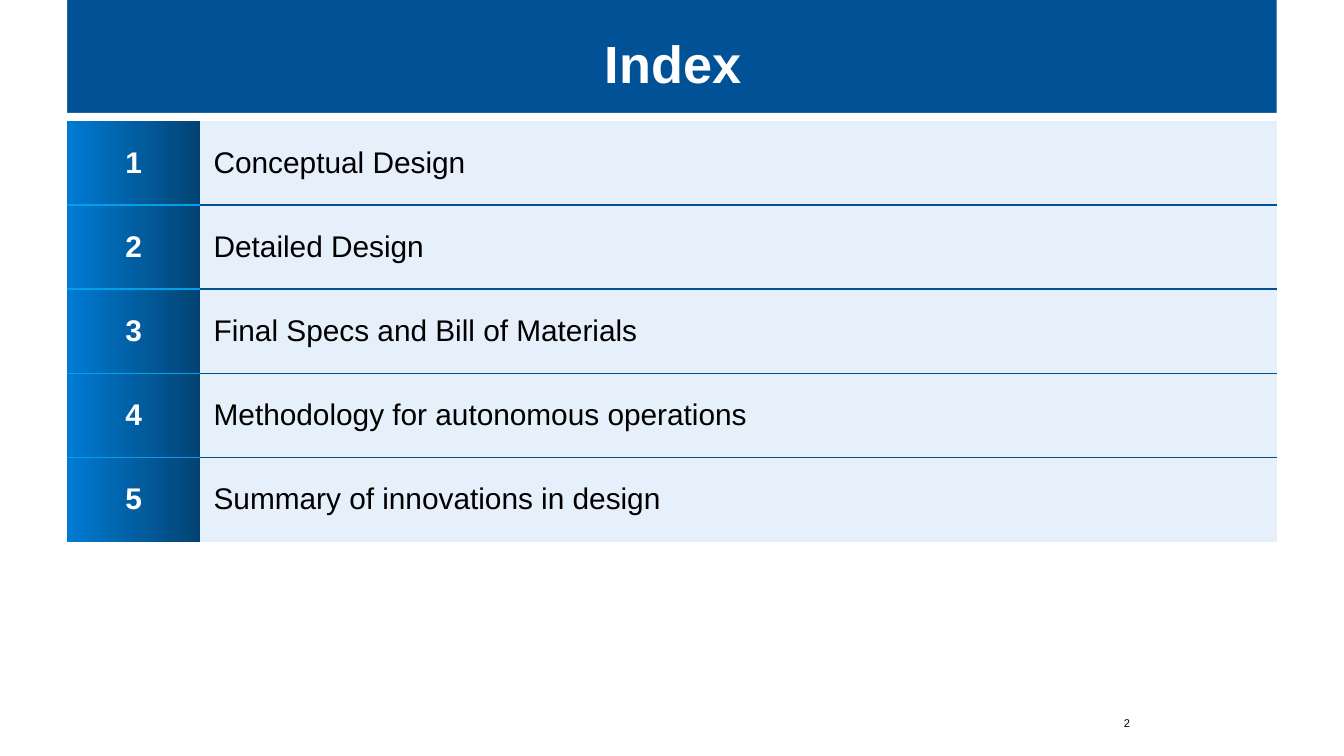
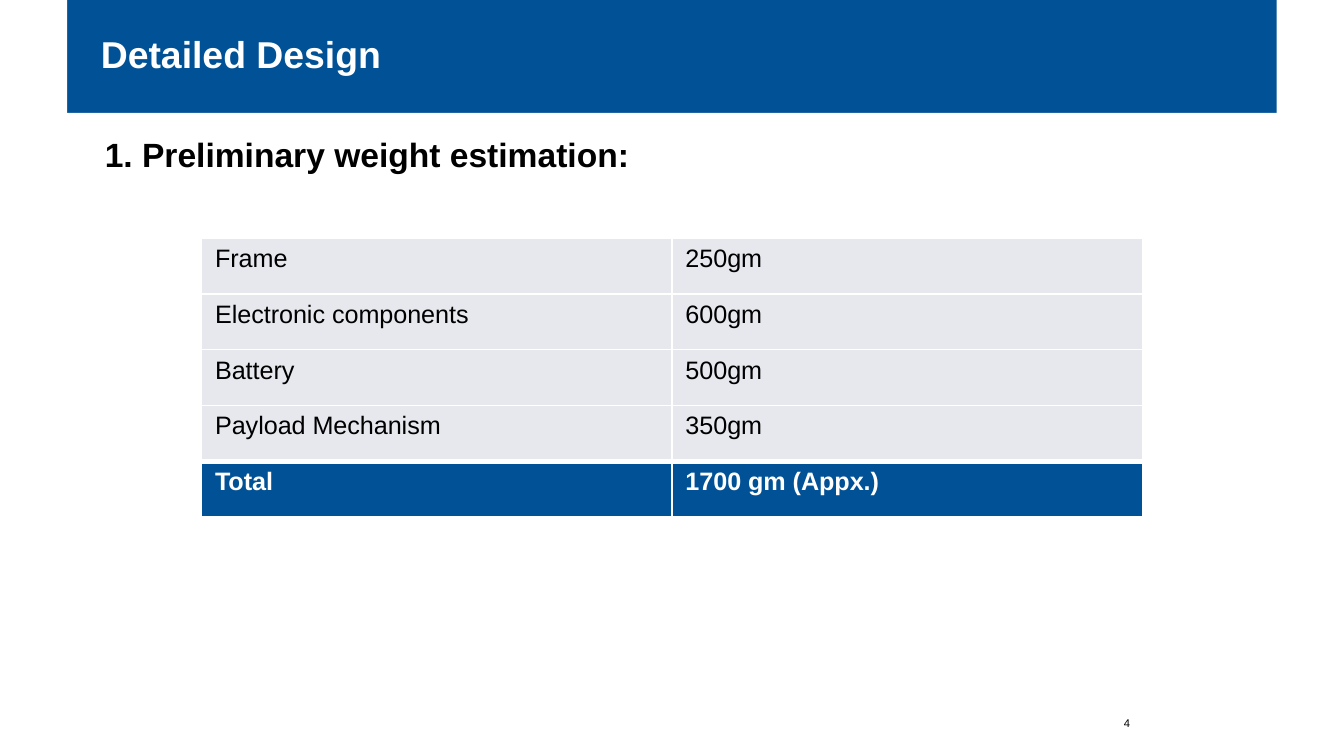
from dataclasses import dataclass

from lxml import etree
from pptx import Presentation
from pptx import util as u
from pptx.dml.color import RGBColor
from pptx.enum import shapes, text
from pptx.oxml.ns import qn

COLORS = {
    "band": "005195", "white": "FFFFFF", "black": "000000", "pale": "E6F0FB",
    "gray": "E6E8EE", "line": "01A0E9", "bright": "007BD3", "deep": "034373",
}
FONT = "Arial"
CELL = u.Inches(0.1)
COLUMNS, ROWS = 100, 56.25
PLAIN_TABLE = "{2D5ABB26-0587-4C30-8999-92F81FD0307C}"
TOPICS = ["Conceptual Design", "Detailed Design", "Final Specs and Bill of Materials",
          "Methodology for autonomous operations", "Summary of innovations in design"]
WEIGHTS = [("Frame", "250gm"), ("Electronic components", "600gm"), ("Battery", "500gm"),
           ("Payload Mechanism", "350gm"), ("Total", "1700 gm (Appx.)")]


@dataclass
class Box:
    """A region measured in grid columns and rows."""
    left: float
    top: float
    width: float
    height: float

    def region(self, left, top, width, height):
        """Return a region placed relative to this one."""
        return Box(self.left + left, self.top + top, width, height)

    def lengths(self):
        """Return left, top, width and height as slide lengths."""
        return [round(value * CELL) for value in (self.left, self.top, self.width, self.height)]


PAGE = Box(0, 0, COLUMNS, ROWS)
CONTENT = PAGE.region(5, 0, 90, ROWS)


def color(name):
    """Return a named colour."""
    return RGBColor.from_string(COLORS[name])


def write(frame, words, size, ink, bold=False, align=text.PP_ALIGN.LEFT):
    """Put one formatted paragraph in a text frame."""
    frame.text = words
    paragraph = frame.paragraphs[0]
    paragraph.alignment = align
    font = paragraph.runs[0].font
    font.name, font.size, font.bold = FONT, u.Pt(size), bold
    font.color.rgb = color(ink)
    return paragraph


def trim(frame, anchor=text.MSO_ANCHOR.TOP):
    """Remove the margins of a text frame and fix its anchor."""
    frame.margin_left = frame.margin_right = frame.margin_top = frame.margin_bottom = 0
    frame.word_wrap = True
    frame.auto_size = text.MSO_AUTO_SIZE.NONE
    frame.vertical_anchor = anchor


def indent(paragraph, columns):
    """Indent a whole paragraph from the left."""
    properties = paragraph._p.get_or_add_pPr()
    properties.set("marL", str(round(columns * CELL)))
    properties.set("indent", "0")


def add_text(slide, box, words, size, anchor=text.MSO_ANCHOR.TOP, **style):
    """Add a text box without margins."""
    frame = slide.shapes.add_textbox(*box.lengths()).text_frame
    trim(frame, anchor)
    return write(frame, words, size, "black", **style)


def build_layout(layout, slide, box):
    """Give the layout a blue band bounded by white panels."""
    layout.background.fill.solid()
    layout.background.fill.fore_color.rgb = color("band")
    right, bottom = box.width, box.height
    builder = slide.shapes.build_freeform(0, round(bottom * CELL))
    corners = [(right, bottom), (right, 3.4), (right - 3, 8.4), (0, 8.4)]
    builder.add_line_segments([(round(x * CELL), round(y * CELL)) for x, y in corners])
    panels = [builder.convert_to_shape()]
    for left in (0, right - 5):
        side = box.region(left, 0, 5, bottom)
        panels.append(slide.shapes.add_shape(shapes.MSO_SHAPE.RECTANGLE, *side.lengths()))
    for number, panel in enumerate(panels, 20):
        panel.shadow.inherit = False
        panel.fill.solid()
        panel.fill.fore_color.rgb = color("white")
        panel.line.fill.background()
        panel._element.nvSpPr.cNvPr.set("id", str(number))
        layout.shapes._spTree.append(panel._element)


def add_title(slide, box, words, size):
    """Move and format the title placeholder."""
    title = slide.shapes.title
    title.left, title.top, title.width, title.height = box.lengths()
    trim(title.text_frame)
    return write(title.text_frame, words, size, "white", bold=True)


def add_page_number(slide, box, number):
    """Write the page number near the foot of the box."""
    add_text(slide, box.region(60.8, 52.9, 23.3, 1.4), number, 6,
             text.MSO_ANCHOR.BOTTOM, align=text.PP_ALIGN.RIGHT)


def set_borders(cell, **borders):
    """Draw the given cell edges, each a colour name and a width in points."""
    properties = cell._tc.get_or_add_tcPr()
    edges = [edge for edge in "LRTB" if edge in borders]
    for index, edge in enumerate(edges):
        ink, width = borders[edge]
        line = etree.Element(qn(f"a:ln{edge}"), w=str(u.Pt(width)))
        fill = etree.SubElement(line, qn("a:solidFill"))
        etree.SubElement(fill, qn("a:srgbClr"), val=COLORS[ink])
        properties.insert(index, line)


def fill_cell(cell, name):
    """Fill a cell with one colour."""
    cell.fill.solid()
    cell.fill.fore_color.rgb = color(name)


def add_table(slide, box, rows, shares):
    """Add an unstyled table with equal rows and columns sized by share."""
    table = slide.shapes.add_table(rows, len(shares), *box.lengths()).table
    table.first_row = table.horz_banding = False
    table._tbl.tblPr.find(qn("a:tableStyleId")).text = PLAIN_TABLE
    for column, share in zip(table.columns, shares):
        column.width = round(box.width * share * CELL)
    for row in table.rows:
        row.height = round(box.height / rows * CELL)
    return table


def add_topics(slide, box):
    """List the numbered topics."""
    table = add_table(slide, box, len(TOPICS), (0.11, 0.89))
    for index, topic in enumerate(TOPICS):
        number, label = table.cell(index, 0), table.cell(index, 1)
        write(number.text_frame, str(index + 1), 16, "white", True, text.PP_ALIGN.CENTER)
        write(label.text_frame, topic, 16, "black")
        number.fill.gradient()
        number.fill.gradient_angle = 0
        for stop, name, position in zip(number.fill.gradient_stops, ("bright", "deep"), (0, 1)):
            stop.color.rgb = color(name)
            stop.position = position
        fill_cell(label, "pale")
        for cell, ink in ((number, "line"), (label, "band")):
            cell.vertical_anchor = text.MSO_ANCHOR.MIDDLE
            borders = {}
            if index > 0:
                borders["T"] = (ink, 1)
            if index < len(TOPICS) - 1:
                borders["B"] = (ink, 1)
            set_borders(cell, **borders)


def add_weights(slide, box):
    """Tabulate the weights with a highlighted total."""
    table = add_table(slide, box, len(WEIGHTS), (0.5, 0.5))
    last = len(WEIGHTS) - 1
    for index, values in enumerate(WEIGHTS):
        total = index == last
        for column, value in enumerate(values):
            cell = table.cell(index, column)
            write(cell.text_frame, value, 13.5, "white" if total else "black", total)
            fill_cell(cell, "band" if total else "gray")
            set_borders(cell, L=("white", 1), R=("white", 1), T=("white", 3 if total else 1),
                        B=("white", 3 if index == last - 1 else 1))


def build_index(slide, box):
    """Build the index slide."""
    add_title(slide, box.region(40, 2.3, 11.1, 4.7), "Index", 28)
    add_topics(slide, box.region(0, 9, box.width, 31.3))
    add_page_number(slide, PAGE, "2")


def build_design(slide, box):
    """Build the weight estimation slide."""
    indent(add_title(slide, box.region(1.7, 2.3, 24.8, 4), "Detailed Design", 20), 0.8)
    heading = add_text(slide, box.region(0, 10, box.width, 40),
                       "1. Preliminary weight estimation:", 18, bold=True)
    indent(heading, 2.8)
    add_page_number(slide, PAGE, "4")
    add_weights(slide, box.region(10, 17.7, 70, 20.8))


def main():
    """Build and save the presentation."""
    presentation = Presentation()
    presentation.slide_width = round(COLUMNS * CELL)
    presentation.slide_height = round(ROWS * CELL)
    layout = presentation.slide_layouts.get_by_name("Title Only")
    index, design = [presentation.slides.add_slide(layout) for _ in range(2)]
    build_layout(layout, index, PAGE)
    build_index(index, CONTENT)
    build_design(design, CONTENT)
    presentation.save("out.pptx")


if __name__ == "__main__":
    main()
